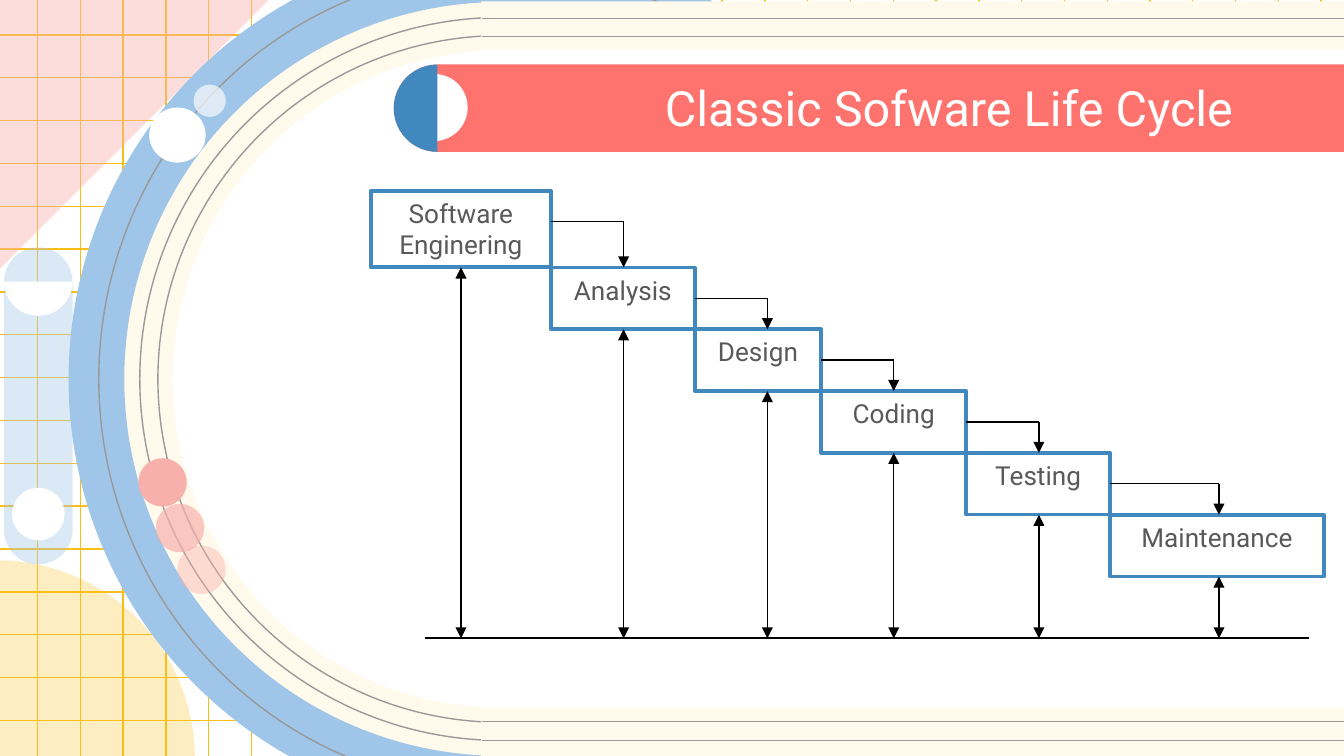
"""Build the Classic Software Life Cycle slide: a staircase of steps on a retro backdrop."""
from dataclasses import dataclass

from lxml.etree import SubElement
from pptx import Presentation
from pptx.dml.color import RGBColor
from pptx.enum.shapes import MSO_CONNECTOR, MSO_SHAPE
from pptx.enum.text import MSO_ANCHOR, PP_ALIGN
from pptx.oxml.ns import qn
from pptx.util import Inches, Pt


@dataclass(frozen=True)
class Theme:
    font: str = "Roboto"
    title_size: int = 26
    step_size: int = 14
    white: str = "FFFFFF"
    black: str = "000000"
    text: str = "595959"
    gray: str = "999999"
    yellow: str = "FBBE18"
    cream: str = "FFFAEB"
    pink: str = "F8B0AD"
    coral: str = "FF736E"
    sky: str = "9FC5E8"
    blue: str = "4088BE"


theme = Theme()
prs = Presentation()
prs.slide_width = Inches(10)
prs.slide_height = Inches(10 * 9 / 16)
slide = prs.slides.add_slide(prs.slide_layouts[6])


def add_shape(kind, left, top, width, height, fill=None, alpha=100, line=None, weight=0.75, adjust=()):
    shape = slide.shapes.add_shape(kind, Inches(left), Inches(top), Inches(width), Inches(height))
    shape.shadow.inherit = False
    for index, value in enumerate(adjust):
        shape.adjustments[index] = value
    if fill:
        shape.fill.solid()
        shape.fill.fore_color.rgb = RGBColor.from_string(fill)
        if alpha < 100:
            color = shape.element.spPr.find(qn("a:solidFill")).find(qn("a:srgbClr"))
            SubElement(color, qn("a:alpha"), val=str(alpha * 1000))
    else:
        shape.fill.background()
    if line:
        shape.line.color.rgb = RGBColor.from_string(line)
        shape.line.width = Pt(weight)
    else:
        shape.line.fill.background()
    return shape


def add_line(x1, y1, x2, y2, color, weight=0.75, arrows=()):
    connector = slide.shapes.add_connector(
        MSO_CONNECTOR.STRAIGHT, Inches(x1), Inches(y1), Inches(x2), Inches(y2))
    connector.line.color.rgb = RGBColor.from_string(color)
    connector.line.width = Pt(weight)
    for end in arrows:
        SubElement(connector.element.spPr.find(qn("a:ln")), qn(f"a:{end}"), type="triangle")
    SubElement(connector.element.spPr, qn("a:effectLst"))


for column in range(31):
    x = 0.28 + column * 9.55 / 30
    add_line(x, -0.06, x, 5.68, theme.yellow)
for row in range(17):
    y = 0.26 + row * 5.1 / 16
    add_line(-0.03, y, 10.15, y, theme.yellow)

corner = add_shape(MSO_SHAPE.RIGHT_TRIANGLE, -0.03, 0, 2.03, 2.03, theme.pink, 42)
corner.rotation = 90

ring_x, ring_y = 3.73, 2.82
for width, height, fill, line, weight in (
    (5.82, 5.82, theme.cream, None, 0),
    (5.86, 5.86, None, theme.sky, 18),
    (6.19, 6.19, None, theme.sky, 18),
    (5.99, 6.09, None, theme.gray, 0.75),
    (5.38, 5.38, None, theme.gray, 0.75),
    (5.11, 5.11, None, theme.gray, 0.75),
    (4.89, 4.89, theme.white, None, 0),
):
    add_shape(MSO_SHAPE.OVAL, ring_x - width / 2, ring_y - height / 2, width, height,
              fill, line=line, weight=weight)

for left, top, width, height, fill, alpha in (
    (1.11, 0.8, 0.42, 0.41, theme.white, 100),
    (1.44, 0.63, 0.24, 0.24, theme.white, 66),
    (1.03, 3.41, 0.36, 0.36, theme.pink, 100),
    (1.16, 3.75, 0.36, 0.36, theme.pink, 69),
    (1.32, 4.06, 0.36, 0.36, theme.pink, 42),
):
    add_shape(MSO_SHAPE.OVAL, left, top, width, height, fill, alpha)

add_shape(MSO_SHAPE.ROUNDED_RECTANGLE, 3.59, 0.04, 6.66, 5.46, theme.white, adjust=(0,))
add_shape(MSO_SHAPE.PIE, -1.49, 4.17, 2.94, 2.94, theme.yellow, 27, adjust=(162, 0))

add_shape(MSO_SHAPE.ROUNDED_RECTANGLE, 2.93, 0.48, 7.43, 0.65, theme.coral, adjust=(0.5,))
add_shape(MSO_SHAPE.OVAL, 2.98, 0.55, 0.5, 0.5, theme.white)
add_shape(MSO_SHAPE.PIE, 2.93, 0.48, 0.65, 0.65, theme.blue, adjust=(54, 162))

for band_top, rails in ((0.01, (0.14, 0.27)), (5.27, (5.37, 5.51))):
    add_shape(MSO_SHAPE.RECTANGLE, 3.58, band_top, 6.66, 0.36, theme.cream)
    for y in rails:
        add_line(10.25, y, 3.59, y, theme.gray)

add_shape(MSO_SHAPE.ROUNDED_RECTANGLE, 0.03, 1.84, 0.51, 2.36, theme.sky, 37, adjust=(0.5,))
add_shape(MSO_SHAPE.OVAL, 0.09, 3.63, 0.39, 0.39, theme.white)
add_shape(MSO_SHAPE.PIE, 0.03, 1.84, 0.51, 0.51, theme.white, adjust=(0, 108))

title = slide.shapes.add_textbox(Inches(3.37), Inches(0.59), Inches(5.91), Inches(0.41))
title.text_frame.word_wrap = True
title.text_frame.vertical_anchor = MSO_ANCHOR.MIDDLE
title.text_frame.text = "Classic Sofware Life Cycle"
heading = title.text_frame.paragraphs[0]
heading.alignment = PP_ALIGN.RIGHT
heading.runs[0].font.name = theme.font
heading.runs[0].font.size = Pt(theme.title_size)
heading.runs[0].font.color.rgb = RGBColor.from_string(theme.white)

steps = (
    ("Software Enginering", 1.34, 0.57, 0.67),
    ("Analysis", 1.07, 0.46, 0.54),
    ("Design", 0.94, 0.46, 0.54),
    ("Coding", 1.08, 0.46, 0.54),
    ("Testing", 1.07, 0.46, 0.54),
    ("Maintenance", 1.59, 0.46, 0.81),
)
baseline = 4.75
left, top = 2.76, 1.42
arrow_points = []
for name, width, height, arrow_offset in steps:
    step = add_shape(MSO_SHAPE.RECTANGLE, left, top, width, height, theme.white,
                     line=theme.blue, weight=2)
    step.text_frame.word_wrap = True
    step.text_frame.vertical_anchor = MSO_ANCHOR.TOP
    step.text_frame.text = name
    label = step.text_frame.paragraphs[0]
    label.alignment = PP_ALIGN.CENTER
    label.runs[0].font.name = theme.font
    label.runs[0].font.size = Pt(theme.step_size)
    label.runs[0].font.color.rgb = RGBColor.from_string(theme.text)
    arrow_points.append((left + arrow_offset, left + width, top, top + height))
    left, top = left + width, top + height

for (_, right, top, bottom), (next_x, *_) in zip(arrow_points, arrow_points[1:]):
    add_line(right, top + 0.23, next_x, top + 0.23, theme.black)
    add_line(next_x, top + 0.23, next_x, bottom, theme.black, arrows=("tailEnd",))

add_line(3.16, baseline, 9.74, baseline, theme.black, 1)
for x, _, _, bottom in arrow_points:
    add_line(x, bottom, x, baseline, theme.black, arrows=("headEnd", "tailEnd"))

prs.save("out.pptx")
